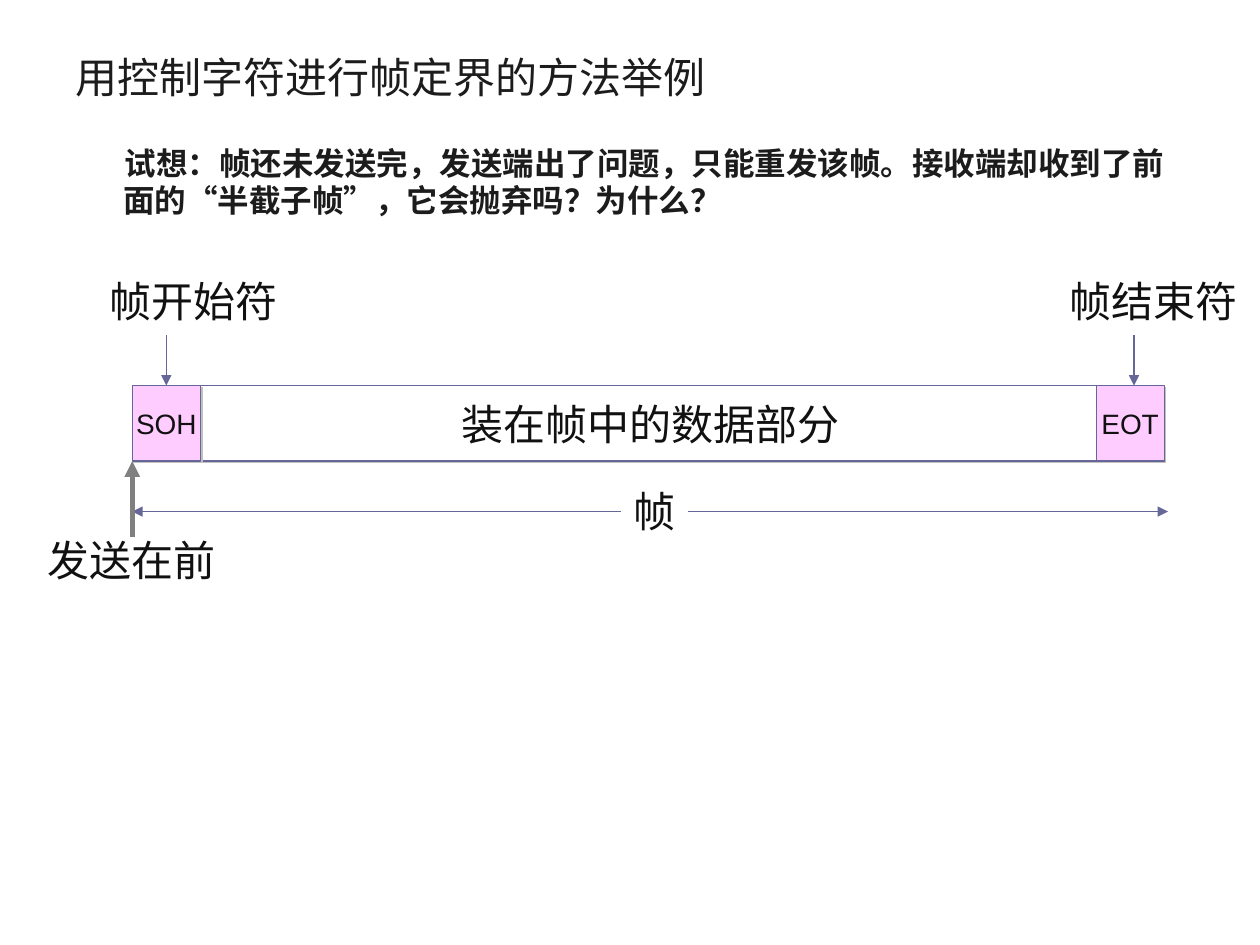
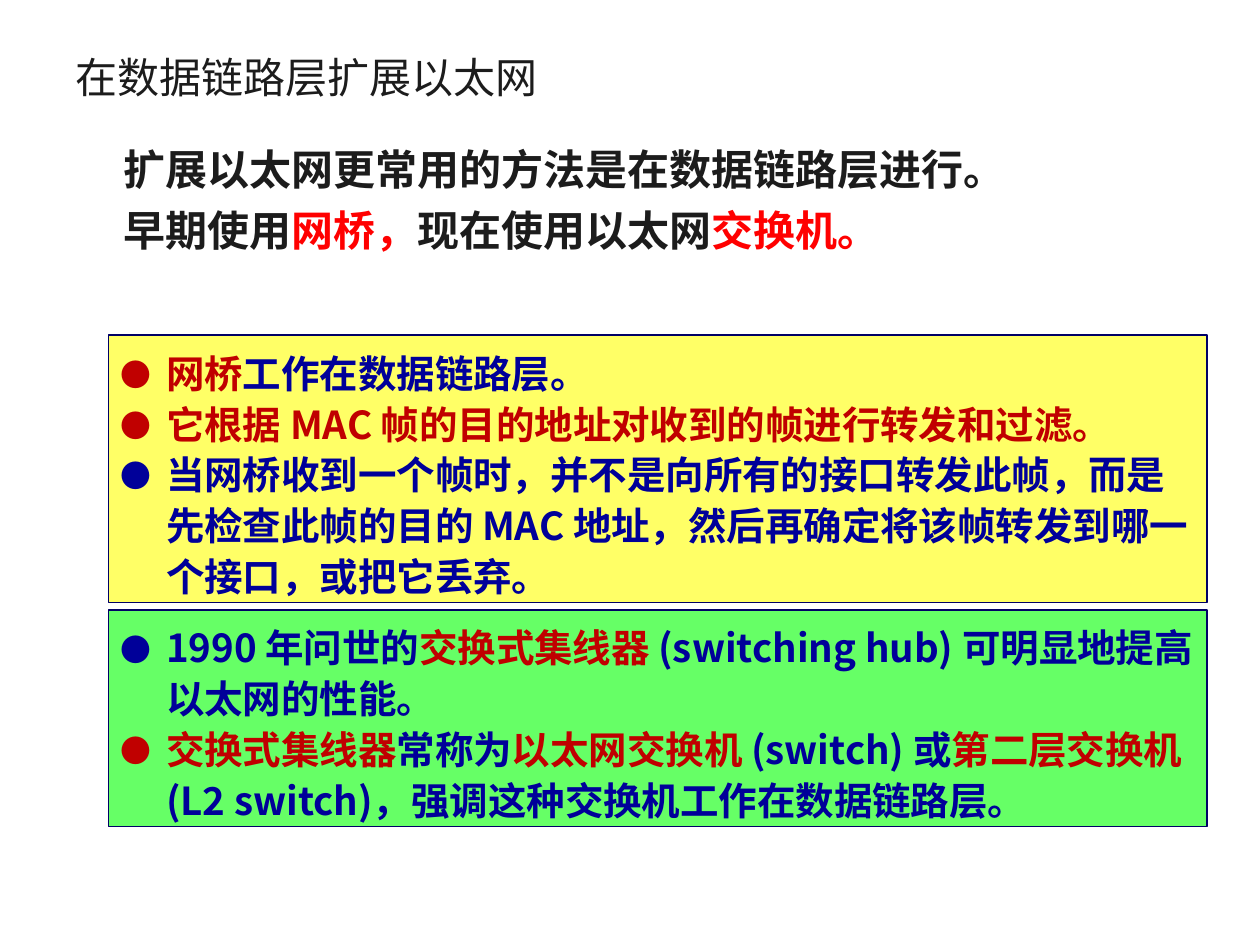
from lxml.etree import SubElement as Sub
from pptx import Presentation
from pptx.dml.color import RGBColor as RGB
from pptx.enum.shapes import MSO_CONNECTOR as Link, MSO_SHAPE as Form
from pptx.enum.text import MSO_ANCHOR as Anchor, MSO_AUTO_SIZE as Fit, PP_ALIGN as Align
from pptx.oxml.ns import qn
from pptx.util import Inches, Pt

HUES = {"ink": "1C1C1C", "label": "111111", "edge": "666699", "pink": "FFCCFF",
        "white": "FFFFFF", "shade": "C0C0C0", "gray": "808080", "red": "FF0000",
        "wine": "C00000", "blue": "000099", "navy": "000066",
        "yellow": "FFFF66", "green": "66FF66"}
RGBS = {name: RGB.from_string(code) for name, code in HUES.items()}
HAN = "Noto Sans CJK SC"
CELL = Inches(0.1)  # the slide is 100 columns by 75 rows


def grid(*cells):
    """Turn columns and rows into slide lengths."""
    return [round(cell * CELL) for cell in cells]


def say(para, text, size, hue, bold=False, face=HAN):
    """Add one run with its Latin and East Asian fonts."""
    run = para.add_run()
    run.text = text
    font = run.font
    font.size, font.bold, font.name = Pt(size), bold, face
    font.color.rgb = RGBS[hue]
    Sub(run._r.rPr, qn("a:ea"), typeface=HAN)


deck = Presentation()
deck.slide_width, deck.slide_height = grid(100, 75)

# Titles and leads of both slides
pages = [
    ("用控制字符进行帧定界的方法举例", 18, 0.01,
     [[("试想：帧还未发送完，发送端出了问题，只能重发该帧。接收端却收到了前面的“半截子帧”，"
        "它会抛弃吗？为什么？", "ink")]]),
    ("在数据链路层扩展以太网", 24, 0,
     [[("扩展以太网更常用的方法是在数据链路层进行。", "ink")],
      [("早期使用", "ink"), ("网桥，", "red"), ("现在使用以太网", "ink"), ("交换机。", "red")]]),
]
slides = []
for title, size, first, lead in pages:
    slide = deck.slides.add_slide(deck.slide_layouts[1])
    slides.append(slide)
    head, body = slide.placeholders
    head.left, head.top, head.width, head.height = grid(5, 3, 90, 6.1)
    body.left, body.top, body.width, body.height = grid(5, 10.7, 90, 52.3)
    for holder, anchor in ((head, Anchor.MIDDLE), (body, Anchor.TOP)):
        holder.text_frame.auto_size = Fit.NONE
        holder.text_frame.vertical_anchor = anchor
    para = head.text_frame.paragraphs[0]
    para.alignment = Align.LEFT
    say(para, title, 24, "ink")
    frame = body.text_frame
    frame.margin_top = Inches(0.07)
    for row, parts in enumerate(lead):
        para = frame.add_paragraph() if row else frame.paragraphs[0]
        para.space_before = Pt(6 if row else 0)
        para.line_spacing = Pt(size * 1.2)
        props = para._p.get_or_add_pPr()
        props.set("marL", str(Inches(0.38)))
        props.set("indent", str(Inches(first)))
        Sub(props, qn("a:buNone"))
        for text, hue in parts:
            say(para, text, size, hue, True)

# Slide 1: the frame and its fields
slide = slides[0]
LEFT, TOP, HIGH, SIDE, DATA = 10.5, 30.6, 6, 5.4, 71.4
BASE = TOP + HIGH
fields = [("装在帧中的数据部分", LEFT + SIDE, DATA, "white", 24),
          ("SOH", LEFT, SIDE, "pink", 16),
          ("EOT", 87, SIDE, "pink", 16)]
made = {}
for text, left, wide, hue, size in fields:
    field = slide.shapes.add_shape(Form.RECTANGLE, *grid(left, TOP, wide, HIGH))
    made[text] = field
    field.fill.solid()
    field.fill.fore_color.rgb = RGBS[hue]
    field.line.color.rgb = RGBS["edge"]
    field.line.width = Pt(0.75)
    field.shadow.inherit = False
    effects = field._element.spPr.find(qn("a:effectLst"))
    shade = Sub(effects, qn("a:outerShdw"), dist=str(Pt(1.4)), dir="2700000",
                algn="ctr", rotWithShape="0")
    Sub(shade, qn("a:srgbClr"), val=HUES["shade"])
    frame = field.text_frame
    frame.word_wrap = False
    frame.vertical_anchor = Anchor.MIDDLE
    para = frame.paragraphs[0]
    para.alignment = Align.CENTER
    say(para, text, size, "label", face="Arial")

SOH = LEFT + SIDE / 2
arrows = [(LEFT, 40.6, 92.7, 40.6, "edge", 0.75, ("headEnd", "tailEnd")),
          (SOH, 26.6, SOH, TOP, "edge", 0.75, ("tailEnd",)),
          (90, 26.6, 90, TOP, "edge", 0.75, ("tailEnd",)),
          (LEFT, 42.6, LEFT, BASE, "gray", 3, ("tailEnd",))]
for *ends, hue, wide, tips in arrows:
    arrow = slide.shapes.add_connector(Link.STRAIGHT, *grid(*ends))
    arrow.line.color.rgb = RGBS[hue]
    arrow.line.width = Pt(wide)
    for tip in tips:
        Sub(arrow.line._get_or_add_ln(), qn("a:" + tip), type="triangle")
    Sub(arrow._element.spPr, qn("a:effectLst"))
    if ends[0] == SOH:
        arrow.end_connect(made["SOH"], 0)

labels = [("帧", 49.3, 38, 5.3), ("帧开始符", 7.7, 21.4, 15.3),
          ("帧结束符", 83.9, 21.4, 15.3), ("发送在前", 2.8, 41.9, 15.3)]
for text, left, top, wide in labels:
    label = slide.shapes.add_textbox(*grid(left, top, wide, 5))
    if text == "帧":
        label.fill.solid()
        label.fill.fore_color.rgb = RGBS["white"]
    frame = label.text_frame
    frame.word_wrap = False
    frame.vertical_anchor = Anchor.MIDDLE
    say(frame.paragraphs[0], text, 24, "label", face="Arial")

# Slide 2: bridge and switch panels
panels = [
    ("yellow", 26.6, 21.2, [
        [("网桥", "wine"), ("工作在数据链路层。", "blue")],
        [("它根据 MAC 帧的目的地址对收到的帧进行转发和过滤。", "wine")],
        [("当网桥收到一个帧时，并不是向所有的接口转发此帧，而是先检查此帧的目的 MAC 地址，"
          "然后再确定将该帧转发到哪一个接口，或把它丢弃。", "blue")]]),
    ("green", 48.4, 17.2, [
        [("1990 年问世的", "blue"), ("交换式集线器 ", "wine"),
         ("(switching hub) 可明显地提高以太网的性能。", "blue")],
        [("交换式集线器", "wine"), ("常称为", "blue"), ("以太网交换机 ", "wine"),
         ("(switch) 或", "blue"), ("第二层交换机 ", "wine"),
         ("(L2 switch)，强调这种交换机工作在数据链路层。", "blue")]]),
]
for fill, top, high, points in panels:
    panel = slides[1].shapes.add_shape(Form.RECTANGLE, *grid(8.6, top, 87.2, high))
    panel.shadow.inherit = False
    panel.fill.solid()
    panel.fill.fore_color.rgb = RGBS[fill]
    panel.line.color.rgb = RGBS["navy"]
    panel.line.width = Pt(0.75)
    frame = panel.text_frame
    frame.word_wrap = True
    frame.vertical_anchor = Anchor.TOP
    frame.margin_top = Inches(0.08)
    for row, parts in enumerate(points):
        para = frame.add_paragraph() if row else frame.paragraphs[0]
        para.alignment = Align.LEFT
        para.line_spacing = Pt(29)
        props = para._p.get_or_add_pPr()
        props.set("marL", str(Inches(0.36)))
        props.set("indent", str(Inches(-0.36)))
        Sub(Sub(props, qn("a:buClr")), qn("a:srgbClr"), val=HUES[parts[0][1]])
        Sub(props, qn("a:buSzPct"), val="80000")
        Sub(props, qn("a:buFont"), typeface=HAN)
        Sub(props, qn("a:buChar"), char="●")
        if row == 0 and fill == "green":
            Sub(props, qn("a:tabLst"))
        for text, hue in parts:
            say(para, text, 22, hue, True)

deck.save("out.pptx")
